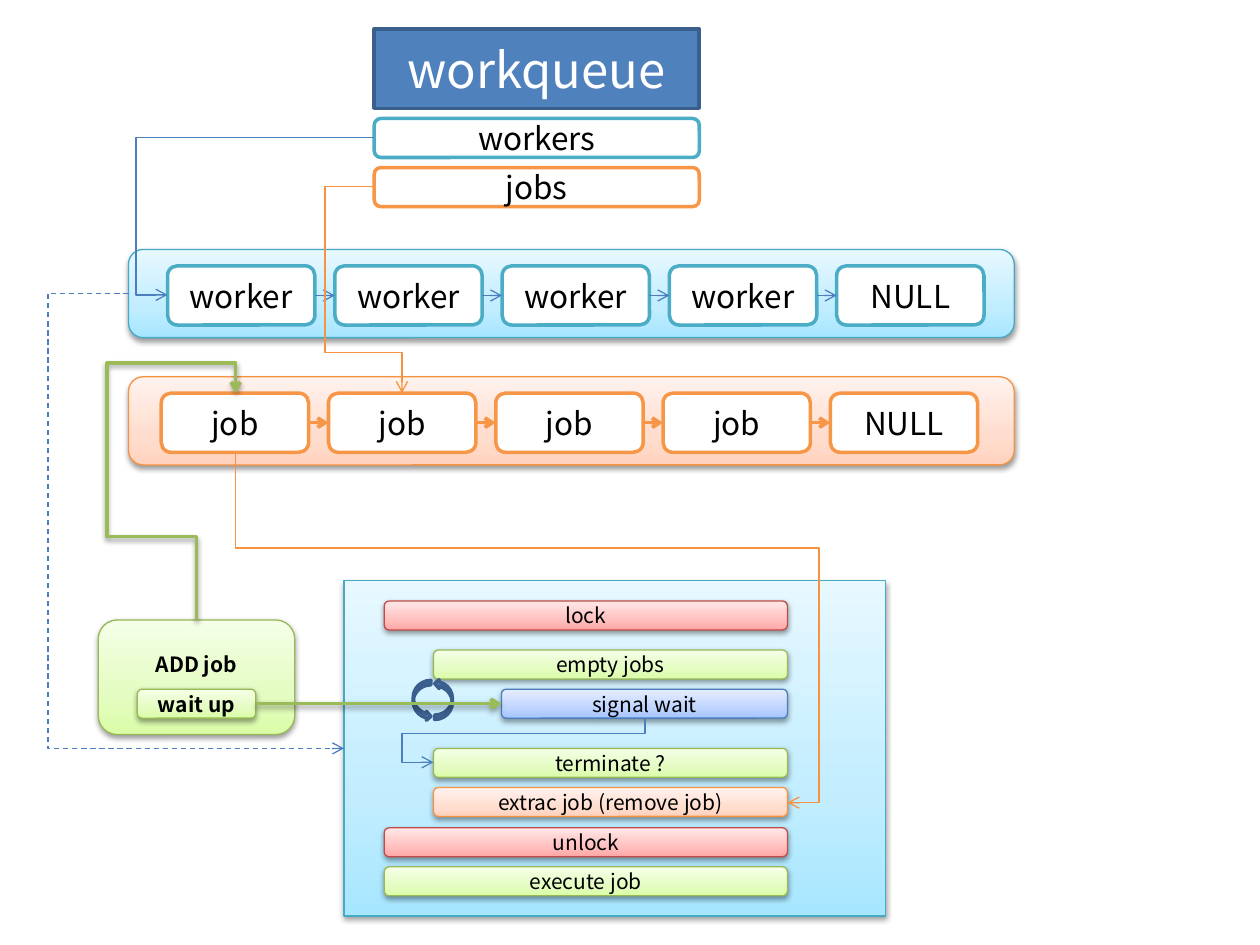
from lxml import etree
from pptx import Presentation
from pptx.dml.color import RGBColor
from pptx.enum.dml import MSO_LINE
from pptx.enum.shapes import MSO_CONNECTOR, MSO_SHAPE
from pptx.enum.text import MSO_ANCHOR, MSO_AUTO_SIZE, PP_ALIGN
from pptx.oxml.ns import qn
from pptx.util import Inches, Pt

ROUND, RECT = MSO_SHAPE.ROUNDED_RECTANGLE, MSO_SHAPE.RECTANGLE
LOOP_ARROW = MSO_SHAPE.CURVED_RIGHT_ARROW
STRAIGHT, ELBOW = MSO_CONNECTOR.STRAIGHT, MSO_CONNECTOR.ELBOW
CENTER, MIDDLE = PP_ALIGN.CENTER, MSO_ANCHOR.MIDDLE
LEFT_SITE, RIGHT_SITE = 1, 3
FONT = "Noto Sans CJK KR"

BLUE, ORANGE, GREEN = "4B7EBC", "F69240", "9BBB59"
TEAL_EDGE, ORANGE_EDGE = "4BACC6", "F79646"
STYLES = {
    "green": (["DAFDA7", "E4FCC2", "F5FFE7"], "98B955"),
    "orange": (["FFD2BD", "FFDED0", "FFF2ED"], ORANGE),
    "teal": (["A7E6FF", "C1EDFF", "E7F8FF"], "46AAC5"),
    "red": (["FFA6A5", "FFC0BF", "FFE7E7"], "BF4C48"),
    "blue": (["A4C4FF", "BFD4FF", "E6EEFF"], BLUE),
}
STOPS = (0, 35000, 100000)

PANELS = [
    ("", (1.02, 2.99, 7.03, 0.7), "orange", ROUND),
    ("", (1.02, 1.98, 7.03, 0.7), "teal", ROUND),
    ("", (2.73, 4.61, 4.3, 2.66), "teal", RECT),
]
FIELDS = [("workers", 0.94, TEAL_EDGE), ("jobs", 1.33, ORANGE_EDGE)]
QUEUES = [
    (["worker"] * 4 + ["NULL"], 1.33, 6.64, 2.11, TEAL_EDGE, BLUE, 0.75),
    (["job"] * 4 + ["NULL"], 1.28, 6.59, 3.12, ORANGE_EDGE, ORANGE_EDGE, 2),
]
STEPS_RIGHT = 6.25
STEPS = [
    ("lock", 3.05, 4.77, "red"),
    ("empty jobs", 3.44, 5.16, "green"),
    ("signal wait", 3.98, 5.47, "blue"),
    ("terminate ?", 3.44, 5.94, "green"),
    ("extrac job (remove job)", 3.44, 6.25, "orange"),
    ("unlock", 3.05, 6.57, "red"),
    ("execute job", 3.05, 6.88, "green"),
]
LOOP = [(3.28, 5.4, 0), (3.45, 5.39, 180)]
ROUTES = [
    ([(2.97, 1.09), (1.08, 1.09), (1.08, 2.34), (1.33, 2.34)], BLUE, 0.75, False),
    ([(2.97, 1.48), (2.58, 1.48), (2.58, 2.8), (3.19, 2.8), (3.19, 3.12)], ORANGE, 0.75, False),
    ([(5.12, 5.7), (5.12, 5.82), (3.19, 5.82), (3.19, 6.05), (3.44, 6.05)], BLUE, 0.75, False),
    ([(1.87, 3.59), (1.87, 4.35), (6.5, 4.35), (6.5, 6.37), (6.25, 6.37)], ORANGE, 0.75, False),
    ([(1.02, 2.33), (0.38, 2.33), (0.38, 5.94), (2.73, 5.94)], BLUE, 0.75, True),
    ([(1.56, 4.92), (1.56, 4.26), (0.85, 4.26), (0.85, 2.88), (1.87, 2.88), (1.87, 3.12)],
     GREEN, 2, False),
]


def rgb(value):
    return RGBColor.from_string(value)


def add(parent, tag, **attributes):
    return etree.SubElement(parent, qn(tag), attributes)


def add_effects(part, shadowed):
    effects = add(part._element.spPr, "a:effectLst")
    if shadowed:
        shadow = add(effects, "a:outerShdw", blurRad="40000", dist="20000",
                     dir="5400000", rotWithShape="0")
        add(add(shadow, "a:srgbClr", val="000000"), "a:alpha", val="38000")


def paint(part, fill, edge, width):
    if isinstance(fill, str):
        part.fill.solid()
        part.fill.fore_color.rgb = rgb(fill)
    else:
        part.fill.gradient()
        gradient = part._element.spPr.find(qn("a:gradFill"))
        stops = gradient.find(qn("a:gsLst"))
        stops.clear()
        for position, color in zip(STOPS, fill):
            add(add(stops, "a:gs", pos=str(position)), "a:srgbClr", val=color)
        gradient.find(qn("a:lin")).set("ang", "16200000")
    part.line.color.rgb = rgb(edge)
    part.line.width = Pt(width)
    add_effects(part, not isinstance(fill, str))


def write(part, text, size, color="000000", bold=False):
    frame = part.text_frame
    frame.word_wrap = True
    frame.auto_size = MSO_AUTO_SIZE.NONE
    frame.vertical_anchor = MIDDLE
    paragraph = frame.paragraphs[0]
    paragraph.alignment = CENTER
    run = paragraph.add_run()
    run.text = text
    run.font.name, run.font.size, run.font.bold = FONT, Pt(size), bold
    run.font.color.rgb = rgb(color)


def box(text, at, fill, edge, width, size, kind=ROUND, bold=False, parent=None):
    part = (parent or slide).shapes.add_shape(kind, *map(Inches, at))
    paint(part, fill, edge, width)
    if text:
        write(part, text, size, bold=bold)
    return part


def glossy(text, at, style, kind=ROUND, bold=False):
    fill, edge = STYLES[style]
    return box(text, at, fill, edge, 0.75, 12, kind, bold)


def finish(arrow, color, width, dashed=False):
    arrow.line.color.rgb = rgb(color)
    arrow.line.width = Pt(width)
    if dashed:
        arrow.line.dash_style = MSO_LINE.DASH
    add(arrow._element.spPr.find(qn("a:ln")), "a:tailEnd", type="arrow")
    add_effects(arrow, color == GREEN)


def link(source, target, color, width):
    arrow = slide.shapes.add_connector(STRAIGHT, 0, 0, 0, 0)
    arrow.begin_connect(source, RIGHT_SITE)
    arrow.end_connect(target, LEFT_SITE)
    finish(arrow, color, width)


def route(points, color, width, dashed):
    (x1, y1), (x2, y2) = points[0], points[-1]
    upright = points[0][0] == points[1][0]
    local = [(y, -x) if upright else (x, y) for x, y in points]
    start, end = local[0], local[-1]
    span = [end[axis] - start[axis] for axis in (0, 1)]
    middle = (x1 + x2) / 2, (y1 + y2) / 2
    near = [middle[axis] - span[axis] / 2 for axis in (0, 1)]
    far = [middle[axis] + span[axis] / 2 for axis in (0, 1)]
    arrow = slide.shapes.add_connector(ELBOW, *map(Inches, near + far))
    properties = arrow._element.spPr
    if upright:
        properties.find(qn("a:xfrm")).set("rot", "5400000")
    geometry = properties.find(qn("a:prstGeom"))
    geometry.set("prst", f"bentConnector{len(points) - 1}")
    guides = geometry.find(qn("a:avLst"))
    for index, point in enumerate(local[1:-2]):
        axis = index % 2
        ratio = (point[axis] - start[axis]) / span[axis]
        add(guides, "a:gd", name=f"adj{index + 1}", fmla=f"val {round(ratio * 100000)}")
    finish(arrow, color, width, dashed)


deck = Presentation()
deck.slide_width, deck.slide_height = Inches(10), Inches(7.5)
slide = deck.slides.add_slide(deck.slide_layouts[5])

title = slide.shapes.title
title.left, title.top, title.width, title.height = map(Inches, (2.97, 0.23, 2.58, 0.63))
add(add(title._element.spPr, "a:prstGeom", prst="roundRect"), "a:avLst")
paint(title, "4F81BD", "3A5F8C", 2)
write(title, "workqueue", 28, "FFFFFF")

for panel in PANELS:
    glossy(*panel)
add_job = glossy("ADD job", (0.78, 4.92, 1.56, 0.91), "green", bold=True)
add_job.text_frame.margin_bottom = Inches(0.25)
wait_up = glossy("wait up", (1.09, 5.47, 0.94, 0.23), "green", bold=True)

for label, top, edge in FIELDS:
    box(label, (2.97, top, 2.58, 0.31), "FFFFFF", edge, 2, 18)

for labels, first, last, top, edge, arrow_color, arrow_width in QUEUES:
    pitch = (last - first) / (len(labels) - 1)
    nodes = [box(label, (first + i * pitch, top, 1.17, 0.47), "FFFFFF", edge, 2, 18)
             for i, label in enumerate(labels)]
    for source, target in zip(nodes, nodes[1:]):
        link(source, target, arrow_color, arrow_width)

steps = {label: glossy(label, (left, top, STEPS_RIGHT - left, 0.23), style)
         for label, left, top, style in STEPS}

loop = slide.shapes.add_group_shape()
for left, top, turn in LOOP:
    half = box("", (left, top, 0.14, 0.32), "4F81BD", "3A5F8C", 2, 12, LOOP_ARROW, parent=loop)
    half.rotation = turn

link(wait_up, steps["signal wait"], GREEN, 2)
for path_points in ROUTES:
    route(*path_points)

deck.save("out.pptx")
